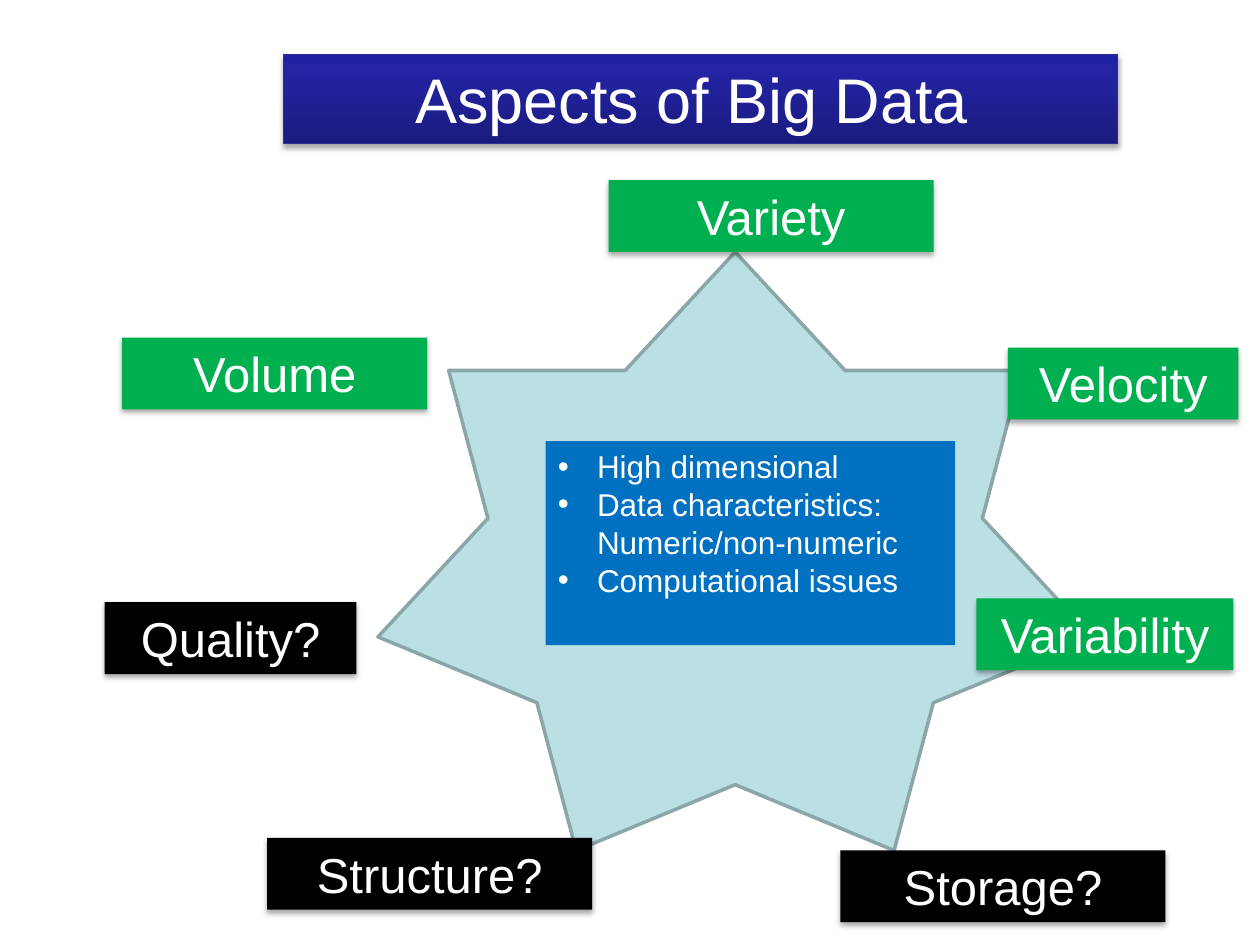
from copy import deepcopy

from lxml.etree import SubElement
from pptx import Presentation
from pptx.dml.color import RGBColor
from pptx.enum.shapes import MSO_SHAPE
from pptx.enum.text import MSO_ANCHOR, MSO_AUTO_SIZE, PP_ALIGN
from pptx.oxml.ns import qn
from pptx.util import Inches, Pt

WHITE = "FFFFFF"
GREEN = "00B050"
BLACK = "000000"
LABEL_HEIGHT = 0.57

LABELS = [
    ("Volume", 0.97, 2.68, 2.42, GREEN),
    ("Variety", 4.83, 1.43, 2.58, GREEN),
    ("Velocity", 8, 2.76, 1.83, GREEN),
    ("Structure?", 2.12, 6.65, 2.58, BLACK),
    ("Storage?", 6.67, 6.75, 2.58, BLACK),
    ("Quality?", 0.83, 4.78, 2, BLACK),
    ("Variability", 7.75, 4.75, 2.04, GREEN),
]
ISSUES = [
    "High dimensional",
    "Data characteristics: Numeric/non-numeric",
    "Computational issues",
]
TITLE_GRADIENT = [(0, "1B1B7E"), (0.8, "2323A3"), (1, "2020A6")]


def set_color(color_format, color):
    color_format.rgb = RGBColor.from_string(color)


def add_block(slide, kind, left, top, width, height, color):
    shape = slide.shapes.add_shape(
        kind, Inches(left), Inches(top), Inches(width), Inches(height)
    )
    shape.shadow.inherit = False
    shape.fill.solid()
    set_color(shape.fill.fore_color, color)
    shape.line.fill.background()
    return shape


def set_outline(shape, color, width):
    set_color(shape.line.color, color)
    shape.line.width = Pt(width)


def add_shadow(shape):
    effects = shape._element.spPr.find(qn("a:effectLst"))
    shadow = SubElement(
        effects, qn("a:outerShdw"), blurRad=str(Pt(3.1)), dist=str(Pt(1.8)),
        dir="5400000", rotWithShape="0",
    )
    color = SubElement(shadow, qn("a:srgbClr"), val=BLACK)
    SubElement(color, qn("a:alpha"), val="35000")


def set_text(shape, text, size, alignment):
    text_frame = shape.text_frame
    text_frame.text = text
    text_frame.word_wrap = True
    text_frame.auto_size = MSO_AUTO_SIZE.SHAPE_TO_FIT_TEXT
    text_frame.vertical_anchor = MSO_ANCHOR.TOP
    for paragraph in text_frame.paragraphs:
        paragraph.alignment = alignment
        for run in paragraph.runs:
            run.font.name = "Arial"
            run.font.size = Pt(size)
            set_color(run.font.color, WHITE)


def set_gradient(shape, stops):
    shape.fill.gradient()
    shape.fill.gradient_angle = 90
    stop_list = shape._element.spPr.find(".//" + qn("a:gsLst"))
    stop_list.append(deepcopy(stop_list[0]))
    for stop, (position, color) in zip(shape.fill.gradient_stops, stops):
        stop.position = position
        set_color(stop.color, color)


def add_bullets(shape):
    for paragraph in shape.text_frame.paragraphs:
        properties = paragraph._p.get_or_add_pPr()
        properties.set("marL", str(Inches(0.31)))
        properties.set("indent", str(Inches(-0.31)))
        SubElement(properties, qn("a:buFont"), typeface="Arial")
        SubElement(properties, qn("a:buChar"), char="•")


def add_title(slide):
    title = add_block(slide, MSO_SHAPE.RECTANGLE, 2.25, 0.43, 6.62, 0.71, "2020A6")
    set_gradient(title, TITLE_GRADIENT)
    set_outline(title, "2F2F98", 0.75)
    add_shadow(title)
    set_text(title, "Aspects of Big Data ", 36, PP_ALIGN.CENTER)


def add_star(slide):
    star = add_block(slide, MSO_SHAPE.STAR_7_POINT, 3, 2, 5.67, 4.75, "BBE0E3")
    set_outline(star, "8AA6A8", 2)


def add_label(slide, text, left, top, width, color):
    label = add_block(
        slide, MSO_SHAPE.RECTANGLE, left, top, width, LABEL_HEIGHT, color
    )
    add_shadow(label)
    set_text(label, text, 28, PP_ALIGN.CENTER)


def add_issues(slide):
    panel = add_block(slide, MSO_SHAPE.RECTANGLE, 4.33, 3.5, 3.25, 1.62, "0070C0")
    set_text(panel, "\n".join(ISSUES), 18, PP_ALIGN.LEFT)
    panel.text_frame.auto_size = MSO_AUTO_SIZE.NONE
    add_bullets(panel)


def main():
    presentation = Presentation()
    presentation.slide_width = Inches(10)
    presentation.slide_height = Inches(7.5)
    slide = presentation.slides.add_slide(presentation.slide_layouts[6])
    add_title(slide)
    add_star(slide)
    for label in LABELS:
        add_label(slide, *label)
    add_issues(slide)
    presentation.save("out.pptx")


if __name__ == "__main__":
    main()
